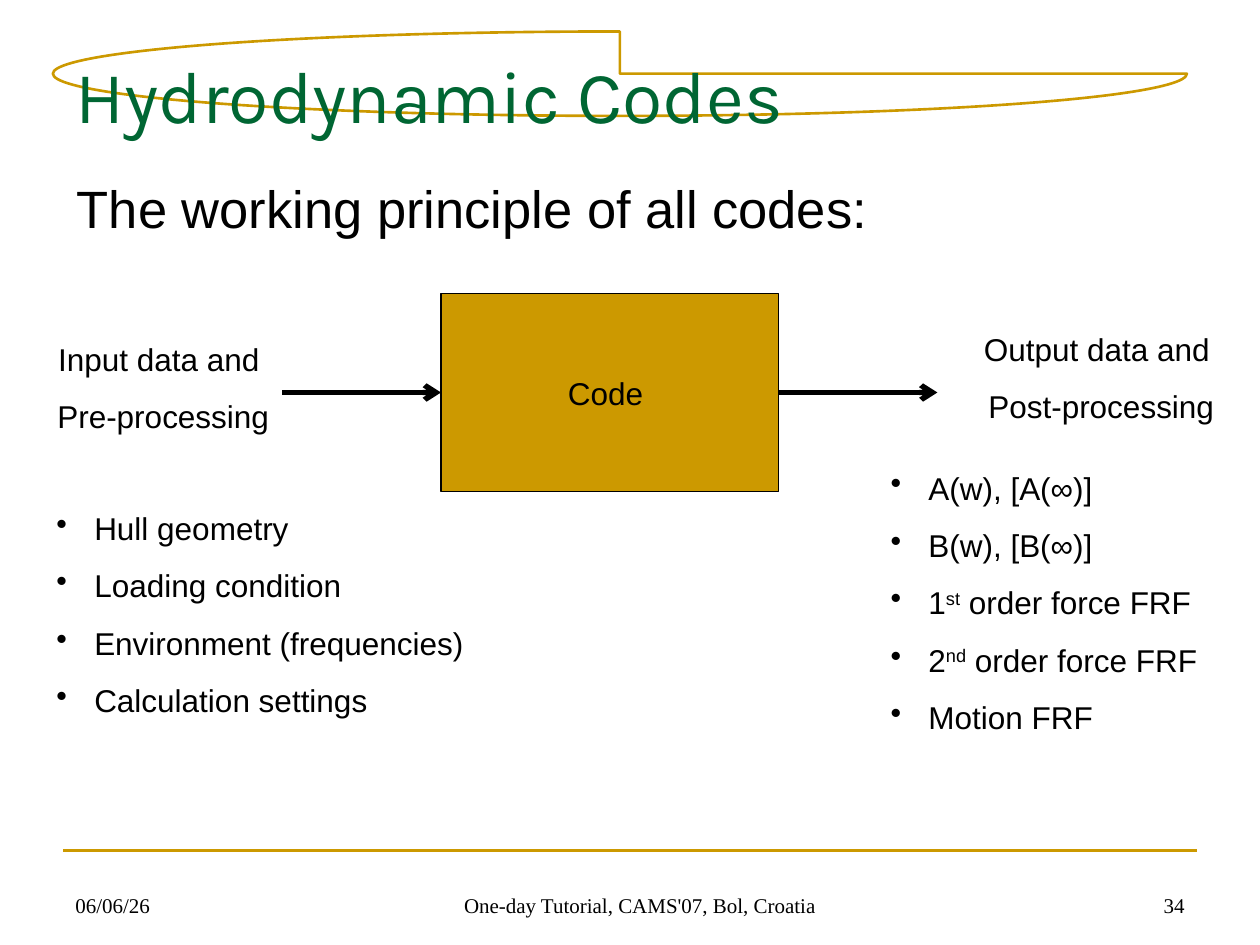
"""Build the slide on the working principle of hydrodynamic codes."""
from dataclasses import dataclass

from lxml.etree import SubElement
from pptx import Presentation
from pptx.dml.color import RGBColor
from pptx.enum.shapes import MSO_CONNECTOR, MSO_SHAPE
from pptx.enum.text import MSO_ANCHOR, MSO_AUTO_SIZE, PP_ALIGN
from pptx.oxml.ns import qn
from pptx.util import Inches, Pt


@dataclass(frozen=True)
class Theme:
    gold: str = "CC9900"
    green: str = "006633"
    black: str = "000000"
    title_font: str = "Karla"
    text_font: str = "Arial"
    footer_font: str = "Times New Roman"
    title_size: int = 42
    lead_size: int = 30
    text_size: int = 18
    footer_size: int = 12
    paragraph_gap: float = 11.2
    bullet_indent: float = 0.3


THEME = Theme()
TITLE = "Hydrodynamic Codes"
LEAD = "The working principle of all codes:"
CODE = "Code "
CODE_BOX = (3.5, 2.33, 2.68, 1.57)
ARROW_LENGTH = 1.26

HEADINGS = [
    ((0.19, 2.65, 2.21, 0.86), ["Input data and ", "Pre-processing"]),
    ((7.6, 2.57, 2.28, 0.86), ["Output data and ", "Post-processing"]),
]
LISTS = [
    ((0.35, 3.99, 3.54, 1.77), [
        "Hull geometry",
        "Loading condition",
        "Environment (frequencies)",
        "Calculation settings",
    ]),
    ((6.97, 3.67, 2.76, 2.23), [
        "A(w), [A(∞)]",
        "B(w), [B(∞)]",
        ("1", "st", " order force FRF"),
        ("2", "nd", " order force FRF"),
        "Motion FRF",
    ]),
]
FOOTERS = [
    ((0.5, 6.83, 2.33, 0.5), "06/06/26", PP_ALIGN.LEFT),
    ((3.11, 6.83, 3.94, 0.5), "One-day Tutorial, CAMS'07, Bol, Croatia", PP_ALIGN.CENTER),
    ((7.17, 6.83, 2.33, 0.5), "34", PP_ALIGN.RIGHT),
]


def inches(values):
    return [Inches(value) for value in values]


def set_bullet(paragraph, character):
    properties = paragraph._p.get_or_add_pPr()
    if character:
        indent = Inches(THEME.bullet_indent)
        properties.set("marL", str(indent))
        properties.set("indent", str(-indent))
        SubElement(properties, qn("a:buChar"), char=character)
    else:
        properties.set("marL", "0")
        properties.set("indent", "0")
        SubElement(properties, qn("a:buNone"))


def write_text(shape, lines, size=THEME.text_size, font=THEME.text_font,
               color=THEME.black, align=PP_ALIGN.LEFT, anchor=MSO_ANCHOR.TOP,
               bullet=None, wrap=True, top=0.05):
    """Fill a shape; every second piece of a tuple line is superscript."""
    frame = shape.text_frame
    frame.auto_size = MSO_AUTO_SIZE.NONE
    frame.word_wrap = wrap
    frame.vertical_anchor = anchor
    frame.margin_left = frame.margin_right = Inches(0.1)
    frame.margin_top, frame.margin_bottom = Inches(top), Inches(0.05)
    for number, line in enumerate(lines):
        paragraph = frame.paragraphs[0] if number == 0 else frame.add_paragraph()
        set_bullet(paragraph, bullet)
        paragraph.alignment = align
        paragraph.space_before = Pt(THEME.paragraph_gap if number else 0)
        pieces = (line,) if isinstance(line, str) else line
        for position, piece in enumerate(pieces):
            run = paragraph.add_run()
            run.text = piece
            run.font.size = Pt(size)
            run.font.name = font
            run.font.color.rgb = RGBColor.from_string(color)
            if position % 2:
                run._r.get_or_add_rPr().set("baseline", "30000")


def add_text(slide, box, lines, **style):
    write_text(slide.shapes.add_textbox(*inches(box)), lines, **style)


def fill_placeholder(placeholder, box, text, **style):
    placeholder.left, placeholder.top, placeholder.width, placeholder.height = inches(box)
    write_text(placeholder, [text], **style)


def add_outline(slide, kind, box, line, width, fill=None):
    shape = slide.shapes.add_shape(kind, *inches(box))
    shape.shadow.inherit = False
    if fill:
        shape.fill.solid()
        shape.fill.fore_color.rgb = RGBColor.from_string(fill)
    else:
        shape.fill.background()
    shape.line.color.rgb = RGBColor.from_string(line)
    shape.line.width = Pt(width)
    return shape


def add_line(slide, left, right, height, color, width, arrow=False):
    connector = slide.shapes.add_connector(
        MSO_CONNECTOR.STRAIGHT, *inches((left, height, right, height)))
    connector.line.color.rgb = RGBColor.from_string(color)
    connector.line.width = Pt(width)
    if arrow:
        SubElement(connector.line._get_or_add_ln(), qn("a:tailEnd"), type="arrow")
    SubElement(connector._element.spPr, qn("a:effectLst"))


def main():
    presentation = Presentation()
    presentation.slide_width, presentation.slide_height = inches((10, 7.5))
    slide = presentation.slides.add_slide(presentation.slide_layouts[1])
    title, body = slide.placeholders

    pie = add_outline(slide, MSO_SHAPE.PIE, (0.42, 0.25, 9, 0.67), THEME.gold, 1.5)
    title._element.addprevious(pie._element)
    add_line(slide, 0.5, 9.5, 6.75, THEME.gold, 1.5)
    for box, text, align in FOOTERS:
        add_text(slide, box, [text], size=THEME.footer_size, font=THEME.footer_font,
                 align=align, anchor=MSO_ANCHOR.BOTTOM)

    fill_placeholder(title, (0.5, 0.3, 9, 1.25), TITLE, size=THEME.title_size,
                     font=THEME.title_font, color=THEME.green, top=0.1)
    fill_placeholder(body, (0.51, 1.31, 9, 0.87), LEAD, size=THEME.lead_size, top=0.09)

    code = add_outline(slide, MSO_SHAPE.RECTANGLE, CODE_BOX, THEME.black, 0.75, THEME.gold)
    write_text(code, [CODE], align=PP_ALIGN.CENTER, anchor=MSO_ANCHOR.MIDDLE, wrap=False)
    left, top, width, height = CODE_BOX
    for start in (left - ARROW_LENGTH, left + width):
        add_line(slide, start, start + ARROW_LENGTH, top + height / 2,
                 THEME.black, 3, arrow=True)

    for box, lines in HEADINGS:
        add_text(slide, box, lines, align=PP_ALIGN.CENTER)
    for box, lines in LISTS:
        add_text(slide, box, lines, bullet="•")
    presentation.save("out.pptx")


if __name__ == "__main__":
    main()
